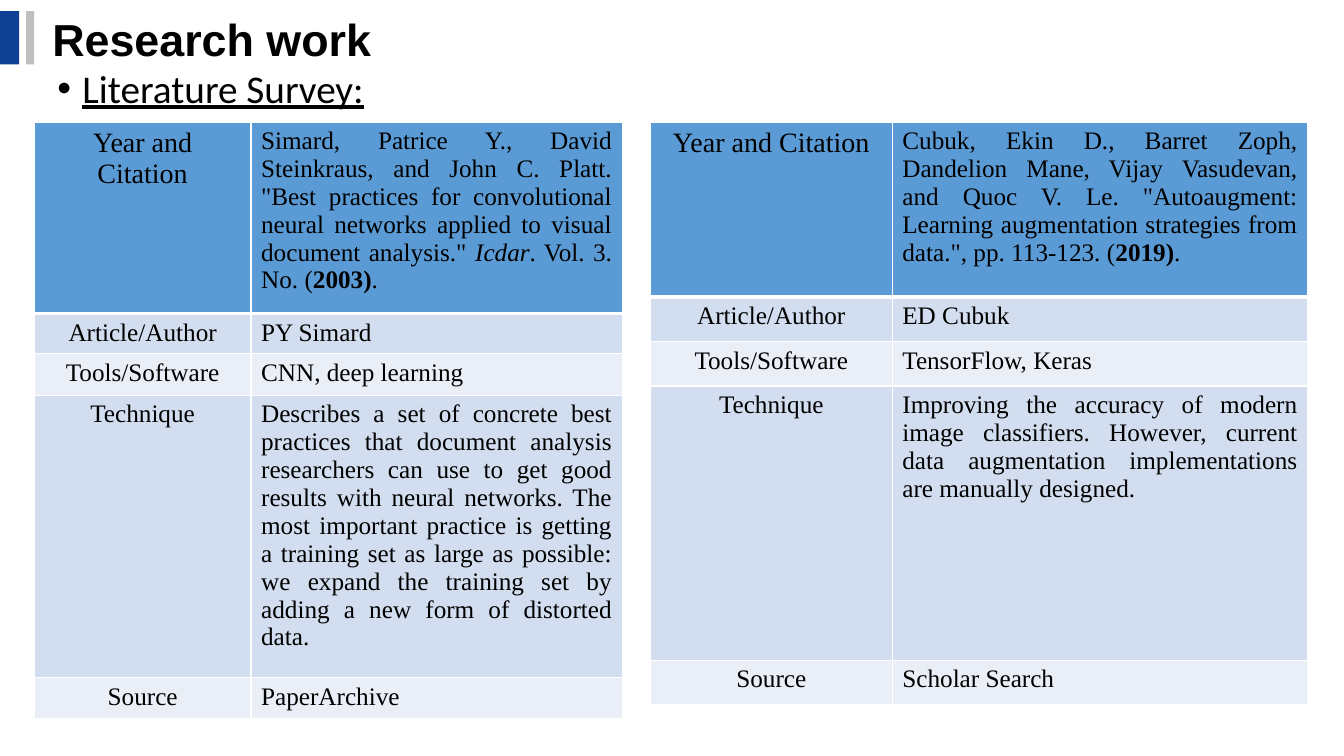
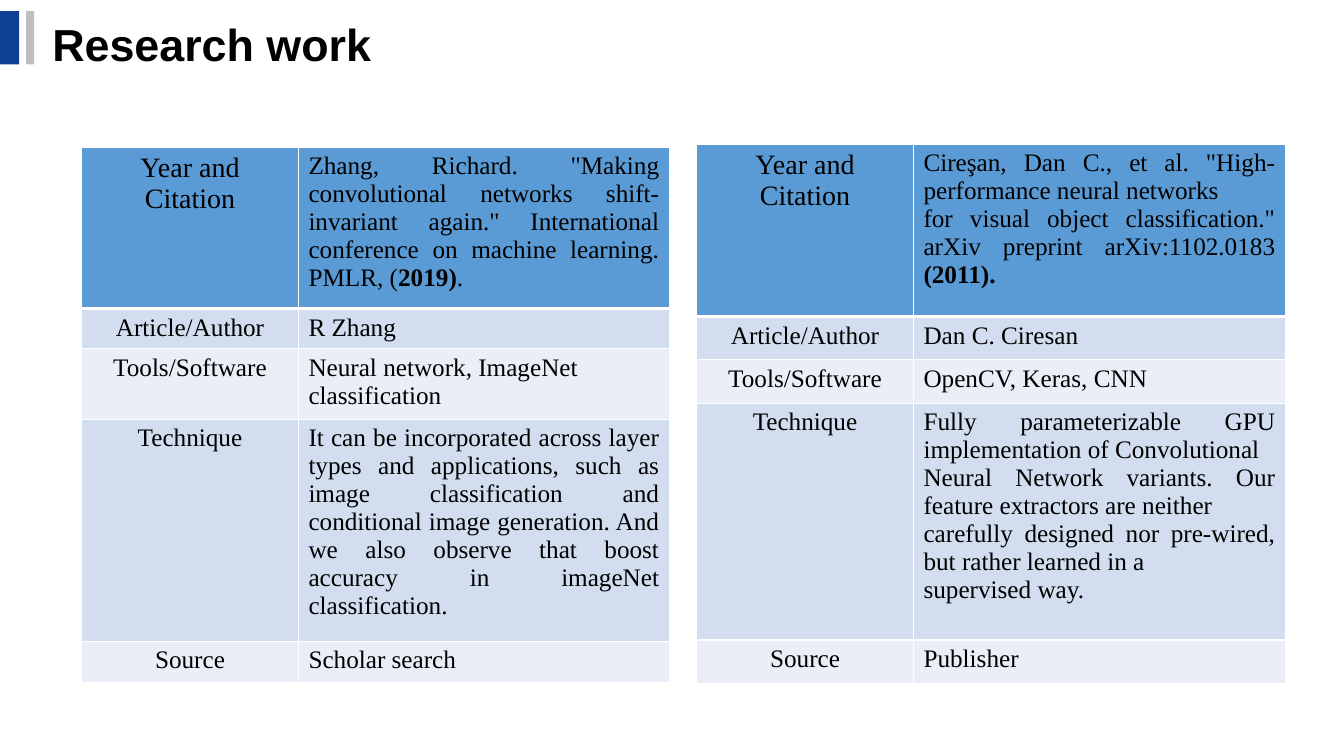
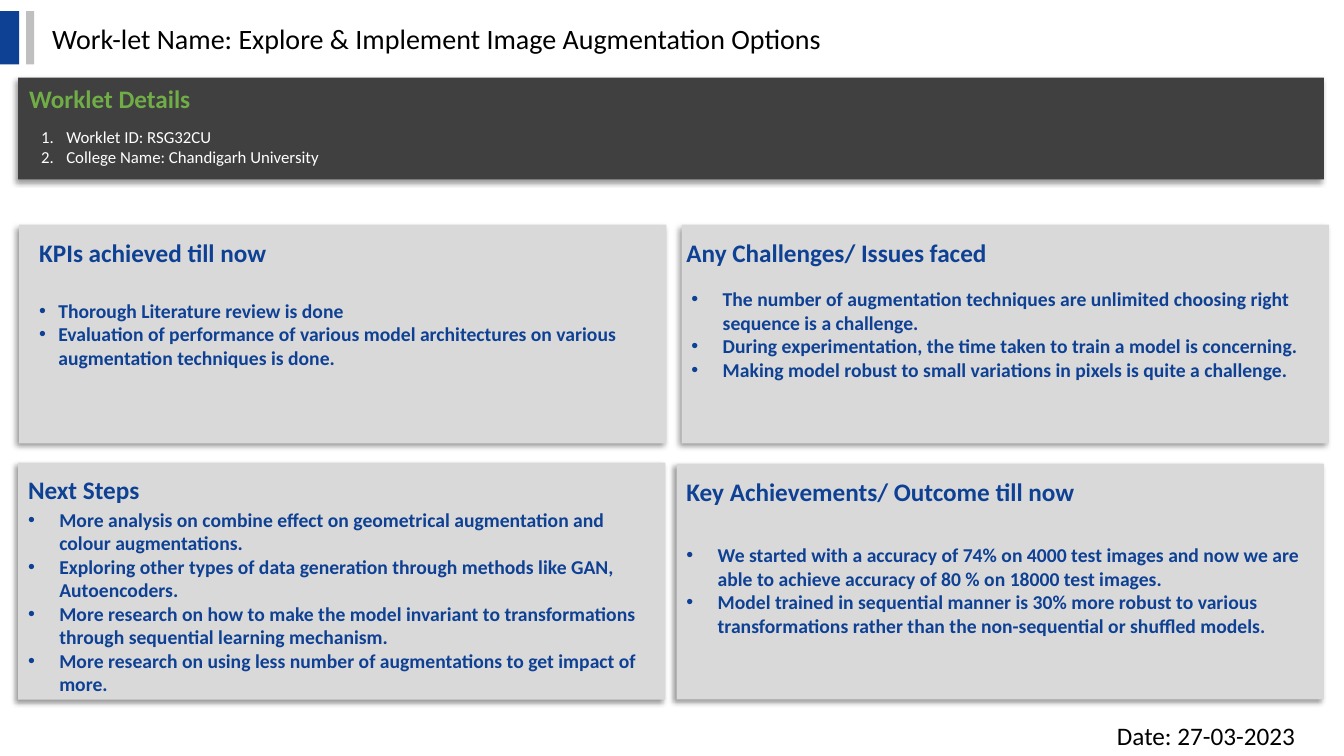
from lxml.etree import SubElement
from pptx import Presentation
from pptx.dml.color import RGBColor
from pptx.enum.shapes import MSO_SHAPE
from pptx.enum.text import MSO_ANCHOR, PP_ALIGN
from pptx.oxml.ns import qn
from pptx.util import Inches, Pt

BLUE, SILVER, PANEL, CHARCOAL = "0E4094", "BFBFBF", "D9D9D9", "404040"
BLACK, WHITE, GREEN = "000000", "FFFFFF", "70AD47"
ROW_FILLS = ["5B9BD5", "D2DEEF", "EAEFF7", "D2DEEF", "EAEFF7"]
ROW_LABELS = ["Year and Citation", "Article/Author", "Tools/Software", "Technique", "Source"]


def color(value):
    return RGBColor.from_string(value)


def style_font(font, size, name, hue, bold=False):
    font.size, font.name, font.bold = Pt(size), name, bold
    font.color.rgb = color(hue)


def add_bullet(paragraph, indent, numbered=False):
    properties = paragraph._p.get_or_add_pPr()
    left, hanging = indent
    properties.set("marL", str(Inches(left)))
    properties.set("indent", str(-Inches(hanging)))
    if numbered:
        SubElement(properties, qn("a:buFont"), typeface="+mj-lt")
        SubElement(properties, qn("a:buAutoNum"), type="arabicPeriod")
    else:
        SubElement(properties, qn("a:buFont"), typeface="Arial")
        SubElement(properties, qn("a:buChar"), char="•")


def fill_frame(frame, lines, size, hue, name="Calibri", bold=False, indent=None, numbered=False):
    frame.word_wrap = True
    for index, line in enumerate(lines):
        paragraph = frame.paragraphs[0] if index == 0 else frame.add_paragraph()
        paragraph.text = line
        paragraph.alignment = PP_ALIGN.LEFT
        if indent:
            add_bullet(paragraph, indent, numbered)
        for run in paragraph.runs:
            style_font(run.font, size, name, hue, bold)


def add_text(slide, box, lines, size, hue, anchor=MSO_ANCHOR.TOP, **style):
    frame = slide.shapes.add_textbox(*map(Inches, box)).text_frame
    frame.vertical_anchor = anchor
    fill_frame(frame, lines, size, hue, **style)
    return frame


def add_block(slide, box, hue, shadow=False):
    block = slide.shapes.add_shape(MSO_SHAPE.RECTANGLE, *map(Inches, box))
    block.fill.solid()
    block.fill.fore_color.rgb = color(hue)
    block.line.fill.background()
    block.shadow.inherit = False
    if shadow:
        effects = block._element.spPr.find(qn("a:effectLst"))
        outer = SubElement(effects, qn("a:outerShdw"), blurRad=str(Pt(4)), dist=str(Pt(3)),
                           dir=str(135 * 60000), algn="tr", rotWithShape="0")
        shade = SubElement(outer, qn("a:srgbClr"), val=BLACK)
        SubElement(shade, qn("a:alpha"), val="40000")
    return block


def add_header(slide, title, box, size, **style):
    add_block(slide, (0, 0.11, 0.19, 0.53), BLUE)
    add_block(slide, (0.26, 0.11, 0.08, 0.53), SILVER)
    add_text(slide, box, [title], size, BLACK, MSO_ANCHOR.MIDDLE, **style)


def add_research_slide(deck, title_top, tables):
    slide = deck.slides.add_slide(deck.slide_layouts[6])
    add_header(slide, "Research work", (0.42, title_top, 10.28, 0.64), 32, name="Arial", bold=True)
    for table in tables:
        add_survey_table(slide, *table)
    return slide


def style_cell(cell, row):
    properties = cell._tc.get_or_add_tcPr()
    for side in ("L", "R", "T", "B"):
        heavy = (side == "B" and row == 0) or (side == "T" and row == 1)
        border = SubElement(properties, qn("a:ln" + side), w=str(Pt(3 if heavy else 1)))
        SubElement(SubElement(border, qn("a:solidFill")), qn("a:srgbClr"), val=WHITE)
    cell.fill.solid()
    cell.fill.fore_color.rgb = color(ROW_FILLS[row])


def write_cell(cell, paragraphs, size, alignment):
    frame = cell.text_frame
    for index, pieces in enumerate(paragraphs):
        paragraph = frame.paragraphs[0] if index == 0 else frame.add_paragraph()
        paragraph.alignment = alignment
        for text, emphasis in pieces:
            run = paragraph.add_run()
            run.text = text
            style_font(run.font, size, "Times New Roman", BLACK, emphasis == "bold")
            run.font.italic = emphasis == "italic"


def plain(*lines):
    return [[(line, "")] for line in lines]


def add_survey_table(slide, origin, widths, heights, entries):
    size = (sum(widths), sum(heights))
    table = slide.shapes.add_table(len(heights), 2, *map(Inches, origin + size)).table
    table.first_row = table.horz_banding = False
    for column, width in zip(table.columns, widths):
        column.width = Inches(width)
    for row, (label, entry) in enumerate(zip(ROW_LABELS, entries)):
        table.rows[row].height = Inches(heights[row])
        label_cell, entry_cell = table.cell(row, 0), table.cell(row, 1)
        write_cell(label_cell, plain(label), 20 if row == 0 else 18, PP_ALIGN.CENTER)
        entry_alignment = PP_ALIGN.LEFT if label == "Tools/Software" else PP_ALIGN.JUSTIFY
        write_cell(entry_cell, entry, 18, entry_alignment)
        for cell in (label_cell, entry_cell):
            style_cell(cell, row)


def add_panel(slide, box, heading, heading_offset, points, indent=(0.31, 0.31), insets=(0.05, 0.05)):
    left, top, width, height = box
    frame = add_block(slide, box, PANEL, shadow=True).text_frame
    frame.vertical_anchor = MSO_ANCHOR.MIDDLE
    frame.margin_top, frame.margin_bottom = map(Inches, insets)
    fill_frame(frame, points, 14, BLUE, bold=True, indent=indent)
    shift, drop = heading_offset
    add_text(slide, (left + shift, top + drop, 5, 0.4), [heading], 18, BLUE, bold=True)


def add_details_band(slide, box):
    left, top, width, height = box
    add_block(slide, box, CHARCOAL, shadow=True)
    add_text(slide, (left + 0.01, top + 0.01, 3, 0.4), ["Worklet Details"], 18, GREEN, bold=True)
    add_text(slide, (left + 0.13, top + 0.44, 4.56, 0.5),
             ["Worklet ID: RSG32CU", "College Name: Chandigarh University"],
             12, WHITE, indent=(0.25, 0.25), numbered=True)


def add_worklet_slide(deck):
    slide = deck.slides.add_slide(deck.slide_layouts[6])
    add_header(slide, "Work-let Name: Explore & Implement Image Augmentation Options",
               (0.42, 0.16, 10.96, 0.44), 20)
    add_details_band(slide, (0.18, 0.77, 12.95, 1.01))
    add_panel(slide, (0.19, 2.23, 6.42, 2.17), "KPIs achieved till now", (0.1, 0.08), [
        "Thorough Literature review is done",
        "Evaluation of performance of various model architectures on various augmentation "
        "techniques is done.",
    ], indent=(0.29, 0.19))
    add_panel(slide, (6.76, 2.23, 6.42, 2.17), "Any Challenges/ Issues faced", (-0.05, 0.08), [
        "The number of augmentation techniques are unlimited choosing right sequence is a challenge.",
        "During experimentation, the time taken to train a model is concerning.",
        "Making model robust to small variations in pixels is quite a challenge.",
    ])
    add_panel(slide, (0.18, 4.59, 6.42, 2.35), "Next Steps", (0, 0.07), [
        "More analysis on combine effect on geometrical augmentation and colour augmentations.",
        "Exploring other types of data generation through methods like GAN, Autoencoders.",
        "More research on how to make the model invariant to transformations through sequential "
        "learning mechanism.",
        "More research on using less number of augmentations to get impact of more.",
    ], insets=(0.41, 0))
    add_panel(slide, (6.71, 4.6, 6.42, 2.34), "Key Achievements/ Outcome till now", (0, 0.08), [
        "We started with a accuracy of 74% on 4000 test images and now we are able to achieve "
        "accuracy of 80 % on 18000 test images.",
        "Model trained in sequential manner is 30% more robust to various transformations rather "
        "than the non-sequential or shuffled models.",
    ], insets=(0.22, 0.05))
    add_text(slide, (10.98, 7.1, 2.35, 0.4), ["Date: 27-03-2023"], 18, BLACK, MSO_ANCHOR.MIDDLE)


SIMARD = [
    [[("Simard, Patrice Y., David Steinkraus, and John C. Platt. \"Best practices for convolutional "
       "neural networks applied to visual document analysis.\" ", ""), ("Icdar", "italic"),
      (". Vol. 3. No. (", ""), ("2003)", "bold"), (".", "")]],
    plain("PY Simard"),
    plain("CNN, deep learning"),
    plain("Describes a set of concrete best practices that document analysis researchers can use to "
          "get good results with neural networks. The most important practice is getting a training "
          "set as large as possible: we expand the training set by adding a new form of distorted "
          "data."),
    plain("PaperArchive"),
]
CUBUK = [
    [[("Cubuk, Ekin D., Barret Zoph, Dandelion Mane, Vijay Vasudevan, and Quoc V. Le. \"Autoaugment: "
       "Learning augmentation strategies from data.\", pp. 113-123. (", ""), ("2019)", "bold"),
      (".", "")]],
    plain("ED Cubuk"),
    plain("TensorFlow, Keras"),
    plain("Improving the accuracy of modern image classifiers. However, current data augmentation "
          "implementations are manually designed."),
    plain("Scholar Search"),
]
ZHANG = [
    [[("Zhang, Richard. \"Making convolutional networks shift-invariant again.\" International "
       "conference on machine learning. PMLR, (", ""), ("2019)", "bold"), (".", "")]],
    plain("R Zhang"),
    plain("Neural network, ImageNet classification"),
    plain("It can be incorporated across layer types and applications, such as image classification "
          "and conditional image generation. And we also observe that boost accuracy in imageNet "
          "classification."),
    plain("Scholar search"),
]
CIRESAN = [
    [[("Cireşan, Dan C., et al. \"High-performance neural networks", "")],
     [("for visual object classification.\" arXiv preprint arXiv:1102.0183 ", ""),
      ("(2011).", "bold")]],
    plain("Dan C. Ciresan"),
    plain("OpenCV, Keras, CNN"),
    plain("Fully parameterizable GPU implementation of Convolutional",
          "Neural Network variants. Our feature extractors are neither",
          "carefully designed nor pre-wired, but rather learned in a",
          "supervised way."),
    plain("Publisher"),
]


def main():
    deck = Presentation()
    deck.slide_width, deck.slide_height = Inches(13.33), Inches(7.5)
    survey = add_research_slide(deck, 0.06, [
        ((0.34, 1.21), (2.15, 3.68), (1.9, 0.4, 0.41, 2.8, 0.41), SIMARD),
        ((6.45, 1.21), (2.4, 4.12), (1.74, 0.44, 0.44, 2.72, 0.44), CUBUK),
    ])
    subtitle = add_text(survey, (0.47, 0.64, 11.5, 0.55), ["Literature Survey:"], 28, BLACK,
                        indent=(0.25, 0.25)).paragraphs[0]
    subtitle.line_spacing = 0.9
    subtitle.runs[0].font.underline = True
    add_research_slide(deck, 0.11, [
        ((0.81, 1.46), (2.15, 3.68), (1.6, 0.4, 0.7, 2.2, 0.41), ZHANG),
        ((6.91, 1.43), (2.15, 3.69), (1.71, 0.43, 0.43, 2.35, 0.43), CIRESAN),
    ])
    add_worklet_slide(deck)
    deck.save("out.pptx")


if __name__ == "__main__":
    main()
